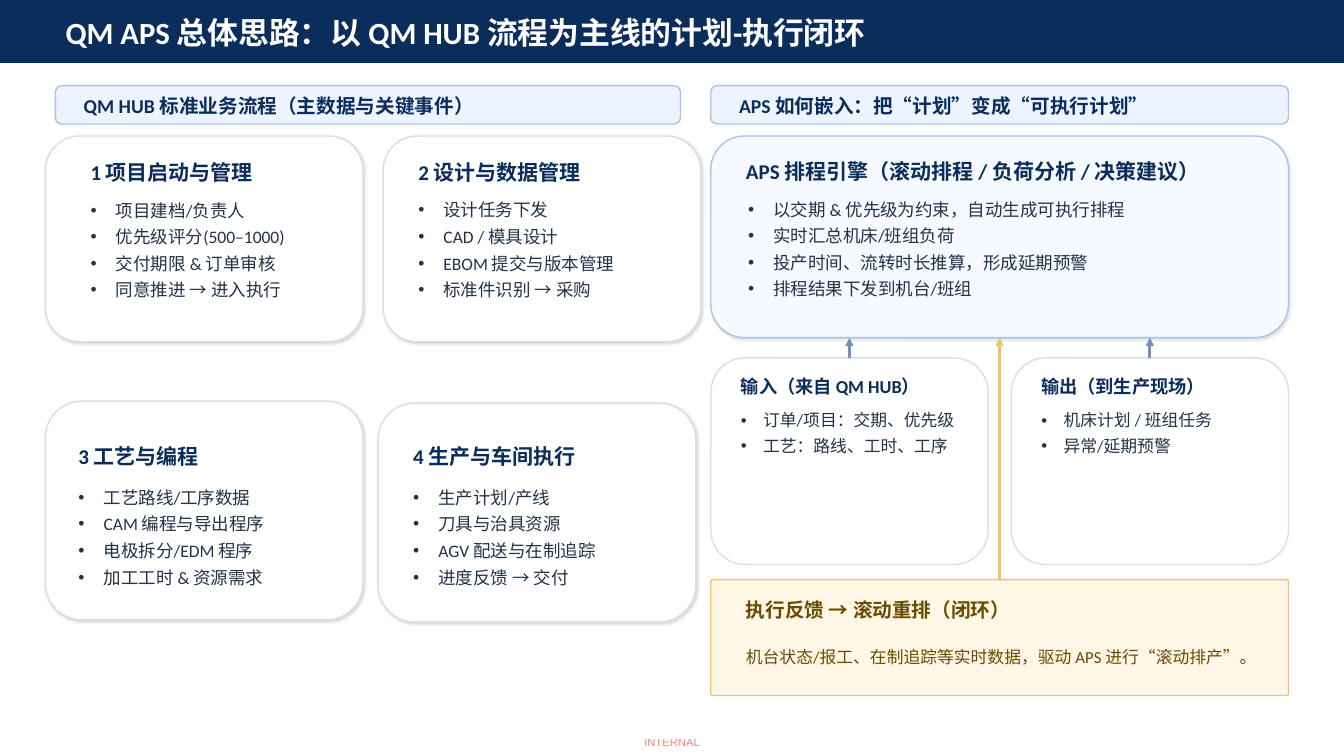
from lxml import etree
from pptx import Presentation
from pptx import util as u
from pptx.dml.color import RGBColor
from pptx.enum import shapes, text
from pptx.oxml import parse_xml
from pptx.oxml.ns import nsdecls, qn

PX = 9144  # 100 px to the inch
NAVY = RGBColor(0x0B, 0x2D, 0x5B)
INK = RGBColor(0x22, 0x32, 0x4A)
WHITE = RGBColor(0xFF, 0xFF, 0xFF)
PALE_BLUE = RGBColor(0xEE, 0xF4, 0xFF)
ICE = RGBColor(0xF6, 0xFA, 0xFF)
BLUE_LINE = RGBColor(0xA9, 0xC2, 0xE8)
GREY_LINE = RGBColor(0xD6, 0xDF, 0xEF)
ARROW = RGBColor(0x7A, 0x8F, 0xB3)
CREAM = RGBColor(0xFF, 0xF7, 0xE6)
GOLD = RGBColor(0xF0, 0xC3, 0x6D)
BROWN = RGBColor(0x6A, 0x4B, 0x00)
RED = RGBColor(0xFF, 0x00, 0x00)
TOP, MIDDLE = text.MSO_ANCHOR.TOP, text.MSO_ANCHOR.MIDDLE
ROUNDED = shapes.MSO_SHAPE.ROUNDED_RECTANGLE

presentation = Presentation()
presentation.slide_width = 1333 * PX
presentation.slide_height = 750 * PX
slide = presentation.slides.add_slide(presentation.slide_layouts[4])
title, left_heading, first_list, right_heading, engine_list = [
    slide.placeholders[index] for index in range(5)]


def add_panel(area, fill, line, shadow=0, kind=ROUNDED):
    """Draw a filled panel; shadow is its opacity in percent."""
    panel = slide.shapes.add_shape(kind, *[value * PX for value in area])
    panel.fill.solid()
    panel.fill.fore_color.rgb = fill
    panel.line.color.rgb = line
    panel.line.width = u.Pt(1)
    panel.shadow.inherit = False
    if shadow:
        effects = panel.element.spPr.find(qn("a:effectLst"))
        effects.append(parse_xml(
            f'<a:outerShdw {nsdecls("a")} blurRad="25400" dist="12700" dir="2700000">'
            f'<a:srgbClr val="000000"><a:alpha val="{shadow * 1000}"/></a:srgbClr>'
            '</a:outerShdw>'))
    return panel


def write(area, lines, size, color, bold=False, indent=0, holder=None):
    """Fill a placeholder or a new text box; an indent makes a bulleted list."""
    left, top, width, height = [value * PX for value in area]
    if holder is None:
        holder = slide.shapes.add_textbox(left, top, width, height)
    else:
        holder.left, holder.top, holder.width, holder.height = left, top, width, height
        holder.element.getparent().append(holder.element)  # bring to front
    frame = holder.text_frame
    frame.text = "\n".join(lines)
    frame.word_wrap = True
    frame.auto_size = text.MSO_AUTO_SIZE.NONE
    frame.vertical_anchor = TOP if indent else MIDDLE
    for paragraph in frame.paragraphs:
        if indent:
            properties = paragraph._p.get_or_add_pPr()
            properties.set("marL", str(indent * PX))
            properties.set("indent", str(-indent * PX))
            etree.SubElement(properties, qn("a:buFont")).set("typeface", "Arial")
            etree.SubElement(properties, qn("a:buChar")).set("char", "•")
        paragraph.alignment = text.PP_ALIGN.LEFT
        paragraph.space_before = u.Pt(0)
        paragraph.space_after = u.Pt(4 if indent else 0)
        for run in paragraph.runs:
            run.font.name = "Calibri"
            run.font.size = u.Pt(size)
            run.font.bold = bold
            run.font.color.rgb = color
    return holder


# Confidentiality mark
mark = write((639, 730, 61, 13), ["INTERNAL"], 8, RED)
frame = mark.text_frame
frame.margin_left = frame.margin_right = frame.margin_top = frame.margin_bottom = 0
frame.vertical_anchor = TOP
frame.word_wrap = False
mark_font = frame.paragraphs[0].runs[0].font
mark_font.name = "Arial"
for color in mark.element.iter(qn("a:srgbClr")):
    etree.SubElement(color, qn("a:alpha")).set("val", "50000")

# Title bar
add_panel((0, 0, 1333, 62), NAVY, NAVY, kind=shapes.MSO_SHAPE.RECTANGLE)
write((55, 12, 1230, 40), ["QM APS 总体思路：以 QM HUB 流程为主线的计划-执行闭环"],
      22, WHITE, True, holder=title)

# Section headings
for left, width, heading, holder in [
    (55, 620, "QM HUB 标准业务流程（主数据与关键事件）", left_heading),
    (705, 573, "APS 如何嵌入：把“计划”变成“可执行计划”", right_heading),
]:
    add_panel((left, 85, width, 38), PALE_BLUE, BLUE_LINE)
    write((left + 18, 91, width - 36, 28), [heading], 14, NAVY, True, holder=holder)

# Process steps: card left, top, height; text left, heading top, list top
steps = [
    (45, 135, 204, 80, 153, 193, "1 项目启动与管理",
     ["项目建档/负责人", "优先级评分(500–1000)", "交付期限 & 订单审核", "同意推进 → 进入执行"],
     first_list),
    (380, 135, 204, 405, 153, 193, "2 设计与数据管理",
     ["设计任务下发", "CAD / 模具设计", "EBOM 提交与版本管理", "标准件识别 → 采购"], None),
    (45, 398, 217, 68, 435, 478, "3 工艺与编程",
     ["工艺路线/工序数据", "CAM 编程与导出程序", "电极拆分/EDM 程序", "加工工时 & 资源需求"], None),
    (375, 400, 217, 400, 435, 478, "4 生产与车间执行",
     ["生产计划/产线", "刀具与治具资源", "AGV 配送与在制追踪", "进度反馈 → 交付"], None),
]
for left, top, height, text_left, heading_top, list_top, heading, items, holder in steps:
    add_panel((left, top, 315, height), WHITE, GREY_LINE, shadow=15)
    write((text_left, heading_top, 245, 35), [heading], 15, NAVY, True)
    write((text_left, list_top, 245, 40), items, 12.5, INK, indent=25, holder=holder)

# Scheduling engine
engine = add_panel((705, 135, 573, 200), ICE, BLUE_LINE, shadow=12)
write((730, 152, 520, 35), ["APS 排程引擎（滚动排程 / 负荷分析 / 决策建议）"], 15, NAVY, True)
write((732, 192, 520, 135),
      ["以交期 & 优先级为约束，自动生成可执行排程", "实时汇总机床/班组负荷",
       "投产时间、流转时长推算，形成延期预警", "排程结果下发到机台/班组"],
      12.5, INK, indent=25, holder=engine_list)

# Input and output
links = []
for left, heading, items in [
    (705, "输入（来自 QM HUB）", ["订单/项目：交期、优先级", "工艺：路线、工时、工序"]),
    (1003, "输出（到生产现场）", ["机床计划 / 班组任务", "异常/延期预警"]),
]:
    card = add_panel((left, 355, 275, 205), WHITE, GREY_LINE)
    write((left + 20, 368, 235, 30), [heading], 13, NAVY, True)
    write((left + 20, 402, 235, 155), items, 12, INK, indent=22)
    links.append((card, ARROW))

# Execution feedback
feedback = add_panel((705, 575, 573, 115), CREAM, GOLD)
feedback.adjustments[0] = 0.02
write((730, 590, 520, 30), ["执行反馈 → 滚动重排（闭环）"], 14, BROWN, True)
write((730, 622, 520, 60),
      ["机台状态/报工、在制追踪等实时数据，驱动 APS 进行“滚动排产”。"], 12, BROWN)
links.append((feedback, GOLD))

# Arrows up into the engine
for source, color in links:
    center = source.left + source.width // 2
    arrow = slide.shapes.add_connector(
        shapes.MSO_CONNECTOR.STRAIGHT, center, source.top, center, engine.top + engine.height)
    arrow.begin_connect(source, 0)
    if source is feedback:
        arrow.end_connect(engine, 2)
    arrow.line.color.rgb = color
    arrow.line.width = u.Pt(2)
    etree.SubElement(arrow.line._get_or_add_ln(), qn("a:tailEnd")).set("type", "triangle")
    etree.SubElement(arrow.element.spPr, qn("a:effectLst"))

presentation.save("out.pptx")
